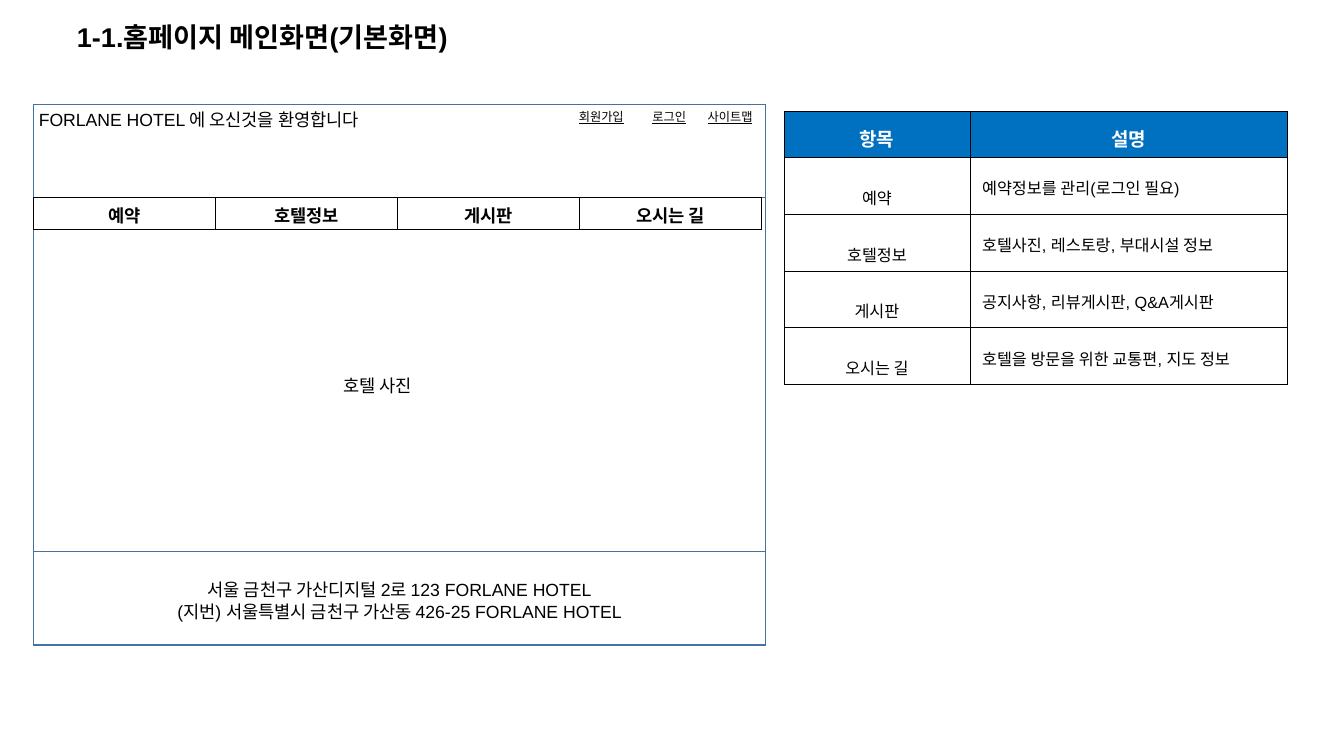
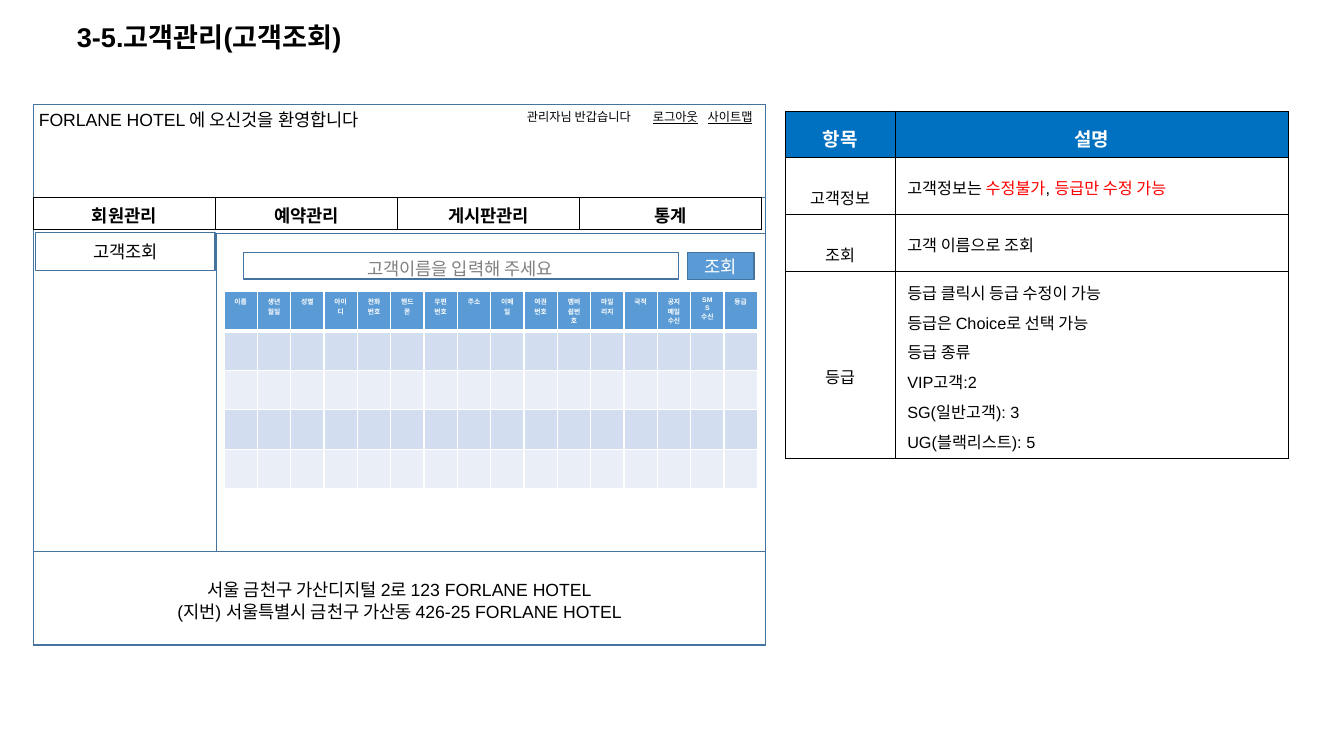
"""Build two hotel website wireframe slides, each with an explanatory table."""
from lxml import etree
from pptx import Presentation
from pptx.dml.color import RGBColor
from pptx.enum.shapes import MSO_SHAPE
from pptx.enum.text import MSO_ANCHOR, PP_ALIGN
from pptx.oxml.ns import qn
from pptx.util import Pt

BLACK = RGBColor(0x00, 0x00, 0x00)
WHITE = RGBColor(0xFF, 0xFF, 0xFF)
RED = RGBColor(0xFF, 0x00, 0x00)
GRAY = RGBColor(0x80, 0x80, 0x80)
OUTLINE = RGBColor(0x43, 0x73, 0x9E)
HEADER_BLUE = RGBColor(0x00, 0x70, 0xC0)
ACCENT = RGBColor(0x5B, 0x9B, 0xD5)
BAND_DARK = RGBColor(0xD2, 0xDE, 0xEF)
BAND_LIGHT = RGBColor(0xEA, 0xEF, 0xF7)

LEFT, CENTER = PP_ALIGN.LEFT, PP_ALIGN.CENTER
TOP, MIDDLE = MSO_ANCHOR.TOP, MSO_ANCHOR.MIDDLE
RECTANGLE = MSO_SHAPE.RECTANGLE

LATIN_FONT = "Arial"
KOREAN_FONT = "Noto Sans CJK KR"
HOTEL = "FORLANE HOTEL"

FRAME_LEFT, FRAME_TOP, FRAME_WIDTH, FRAME_HEIGHT = 24.5, 77, 540.7, 399.6
BAND_HEIGHT = 69
FOOTER_TOP = FRAME_TOP + FRAME_HEIGHT - BAND_HEIGHT
LABEL_HEIGHT = 18

GRID_HEADERS = ["이름", "생년월일", "성별", "아이디", "전화번호", "핸드폰", "우편번호", "주소",
                "이메일", "여권번호", "맴버쉽번호", "마일리지", "국적", "공지메일수신", "SMS수신", "등급"]


def write(frame, paragraphs, size=13, color=BLACK, bold=False, underline=None,
          align=CENTER, font=LATIN_FONT, line_spacing=None, before=1):
    """Fill a text frame; a paragraph is a string or a list of (text, colour)."""
    if isinstance(paragraphs, str):
        paragraphs = [paragraphs]
    for index, content in enumerate(paragraphs):
        para = frame.add_paragraph() if index else frame.paragraphs[0]
        para.alignment = align
        para.space_before = Pt(before)
        if line_spacing:
            para.line_spacing = line_spacing
        spans = [(content, color)] if isinstance(content, str) else content
        for text, span_color in spans:
            span = para.add_run()
            span.text = text
            span.font.name = font
            span.font.size = Pt(size)
            span.font.bold = bold
            span.font.underline = underline
            span.font.color.rgb = span_color
            properties = span.font._element
            etree.SubElement(properties, qn("a:ea"), typeface=KOREAN_FONT)


def add_label(page, left, top, width, height, text, wrap=False, **style):
    """Add a text box whose text is centred vertically."""
    box = page.shapes.add_textbox(Pt(left), Pt(top), Pt(width), Pt(height))
    box.text_frame.word_wrap = wrap
    box.text_frame.vertical_anchor = MIDDLE
    write(box.text_frame, text, **style)


def add_panel(page, left, top, width, height, text=None, fill=None, **style):
    """Add an outlined rectangle with optional fill and text."""
    panel = page.shapes.add_shape(RECTANGLE, Pt(left), Pt(top), Pt(width), Pt(height))
    panel.shadow.inherit = False
    panel.line.color.rgb = OUTLINE
    panel.line.width = Pt(1)
    paint(panel, fill)
    if text:
        panel.text_frame.vertical_anchor = MIDDLE
        write(panel.text_frame, text, font=KOREAN_FONT, **style)


def paint(item, color):
    """Give a shape or cell a solid fill, or none."""
    if color is None:
        item.fill.background()
    else:
        item.fill.solid()
        item.fill.fore_color.rgb = color


def set_borders(cell, color, width, bottom=None):
    """Draw the four borders of a table cell."""
    properties = cell._tc.get_or_add_tcPr()
    for side in "LRTB":
        thickness = bottom if bottom and side == "B" else width
        line = etree.SubElement(properties, qn(f"a:ln{side}"), w=str(Pt(thickness)))
        solid = etree.SubElement(line, qn("a:solidFill"))
        etree.SubElement(solid, qn("a:srgbClr"), val=str(color))


def add_table(page, left, top, columns, rows):
    """Add an unstyled table with the given column widths and row heights."""
    frame = page.shapes.add_table(len(rows), len(columns), Pt(left), Pt(top),
                                  Pt(sum(columns)), Pt(sum(rows)))
    table = frame.table
    table.first_row = table.horz_banding = False
    for column, width in zip(table.columns, columns):
        column.width = Pt(width)
    for row, height in zip(table.rows, rows):
        row.height = Pt(height)
    return table


def add_info_table(page, left, columns, entries, last_height=42):
    """Add the table that explains the items of the screen."""
    heights = [34] + [42] * (len(entries) - 1) + [last_height]
    table = add_table(page, left, 82, columns, heights)
    for row, texts in enumerate([("항목", "설명"), *entries]):
        for column, text in enumerate(texts):
            cell = table.cell(row, column)
            set_borders(cell, BLACK, 0.25)
            paint(cell, WHITE if row else HEADER_BLUE)
            cell.vertical_anchor = MIDDLE
            cell.margin_left = cell.margin_right = Pt(9.2)
            if row == 0:
                write(cell.text_frame, text, size=14, color=WHITE, bold=True, line_spacing=1.3)
            elif column == 0:
                write(cell.text_frame, text, size=12, line_spacing=2.0, before=1.2)
            else:
                write(cell.text_frame, text, size=12, align=LEFT, line_spacing=1.2, before=1.2)


def add_menu(page, names):
    """Add the menu bar of the website."""
    table = add_table(page, FRAME_LEFT, FRAME_TOP + BAND_HEIGHT, [134.5] * len(names), [23.6])
    for column, name in enumerate(names):
        cell = table.cell(0, column)
        set_borders(cell, BLACK, 1)
        paint(cell, None)
        cell.vertical_anchor = TOP
        cell.margin_bottom = Pt(1)
        write(cell.text_frame, name, bold=True)


def add_customer_grid(page):
    """Add the banded grid of customer records."""
    table = add_table(page, 165.4, 215.2, [24.62] * len(GRID_HEADERS), [29.2] * 5)
    for row in range(5):
        for column, name in enumerate(GRID_HEADERS):
            cell = table.cell(row, column)
            set_borders(cell, WHITE, 1, bottom=None if row else 3)
            if row == 0:
                paint(cell, ACCENT)
                write(cell.text_frame, name, size=5, color=WHITE, bold=True)
            else:
                paint(cell, BAND_DARK if row % 2 else BAND_LIGHT)


def add_screen(deck, title, menu):
    """Add a page with title, website frame, greeting, menu and address."""
    page = deck.slides.add_slide(deck.slide_layouts[6])
    add_label(page, 49.7, 15, 856, 27.4, title, wrap=True, size=20, bold=True,
              align=LEFT, line_spacing=0.9, before=0)
    add_panel(page, FRAME_LEFT, FRAME_TOP, FRAME_WIDTH, FRAME_HEIGHT)
    for top in (FRAME_TOP, FOOTER_TOP):
        add_panel(page, FRAME_LEFT, top, FRAME_WIDTH, BAND_HEIGHT)
    add_label(page, 21.6, FRAME_TOP, 278, 23, f"{HOTEL} 에 오신것을 환영합니다",
              wrap=True, align=LEFT)
    add_label(page, 513.4, FRAME_TOP, 51, LABEL_HEIGHT, "사이트맵", size=9, underline=True)
    add_menu(page, menu)
    add_label(page, FRAME_LEFT, 422, FRAME_WIDTH, 43.2,
              [f"서울 금천구 가산디지털 2로 123 {HOTEL}",
               f"(지번) 서울특별시 금천구 가산동 426-25 {HOTEL}"], wrap=True)
    return page


def build_home(deck):
    """Build the main screen of the homepage."""
    page = add_screen(deck, "1-1.홈페이지 메인화면(기본화면)",
                      ["예약", "호텔정보", "게시판", "오시는 길"])
    add_label(page, 473, FRAME_TOP, 42, LABEL_HEIGHT, "로그인", size=9, underline=True)
    add_label(page, 418.3, FRAME_TOP, 51, LABEL_HEIGHT, "회원가입", size=9, underline=True)
    add_label(page, 243.4, 273, 70.6, 23, "호텔 사진")
    add_info_table(page, 579, [136.8, 234.7], [
        ("예약", "예약정보를 관리(로그인 필요)"),
        ("호텔정보", "호텔사진, 레스토랑, 부대시설 정보"),
        ("게시판", "공지사항, 리뷰게시판, Q&A게시판"),
        ("오시는 길", "호텔을 방문을 위한 교통편, 지도 정보")])


def build_customers(deck):
    """Build the customer search screen."""
    page = add_screen(deck, "3-5.고객관리(고객조회)",
                      ["회원관리", "예약관리", "게시판관리", "통계"])
    add_label(page, 473, FRAME_TOP, 51, LABEL_HEIGHT, "로그아웃", size=9, underline=True)
    add_label(page, 378, FRAME_TOP, 98.6, LABEL_HEIGHT, "관리자님 반갑습니다", size=9)
    add_panel(page, 26.4, 172, 132.5, 28, "고객조회")
    add_panel(page, 160, 172.3, 405.2, 235.3)
    add_panel(page, 180, 186.5, 321, 19.6)
    add_panel(page, 507.6, 186.5, 49, 20, "조회", fill=ACCENT, color=WHITE)
    add_label(page, 256.3, 186.5, 166.3, 23, "고객이름을 입력해 주세요", color=GRAY)
    add_customer_grid(page)
    add_info_table(page, 579.8, [80.8, 290.5], [
        ("고객정보", [[("고객정보는 ", BLACK), ("수정불가", RED), (", ", BLACK),
                   ("등급만 수정 가능", RED)]]),
        ("조회", "고객 이름으로 조회"),
        ("등급", ["등급 클릭시 등급 수정이 가능", "등급은 Choice로 선택 가능", "등급 종류",
                "VIP고객:2", "SG(일반고객): 3", "UG(블랙리스트): 5"])], last_height=138.5)


def main():
    """Create the deck and save it."""
    deck = Presentation()
    deck.slide_width, deck.slide_height = Pt(992.16), Pt(540)
    build_home(deck)
    build_customers(deck)
    deck.save("out.pptx")


if __name__ == "__main__":
    main()
